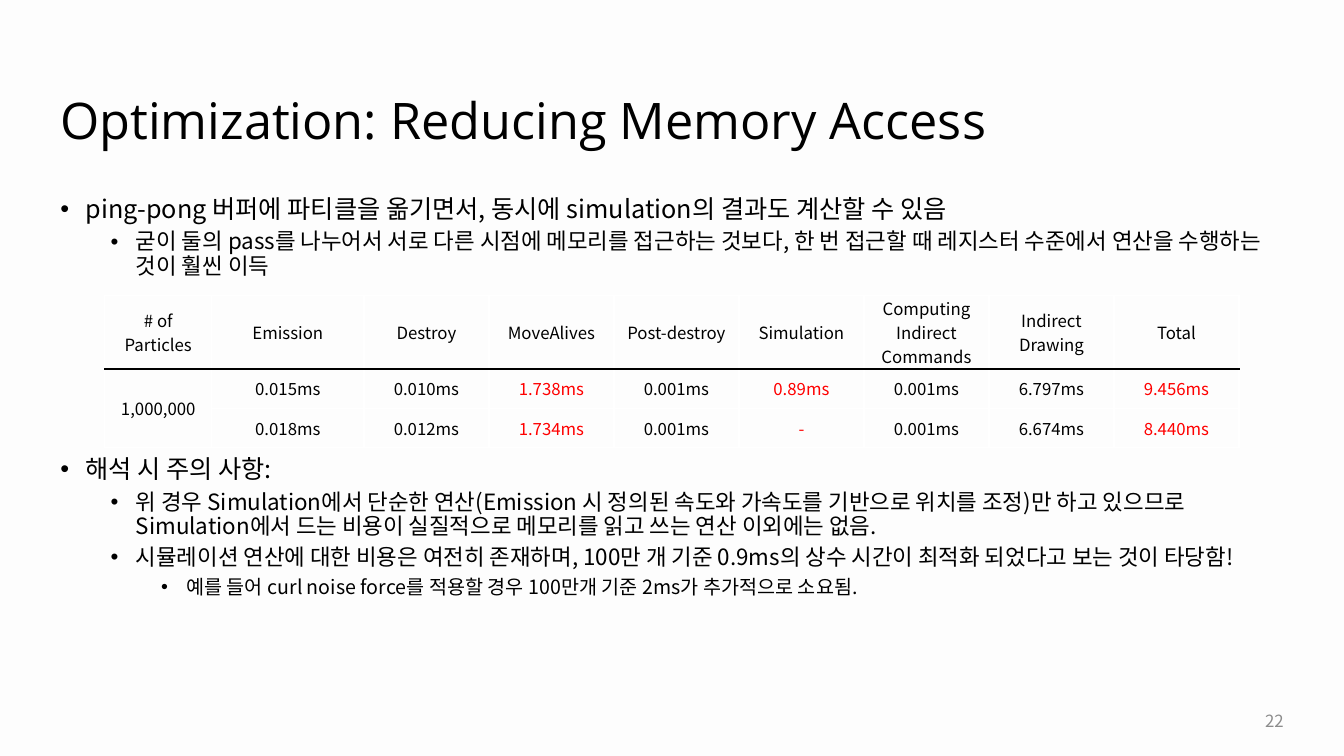
from lxml import etree
from pptx import Presentation
from pptx.dml.color import RGBColor
from pptx.enum import text
from pptx.oxml import ns
from pptx.util import Inches, Pt

BLACK = RGBColor(0x00, 0x00, 0x00)
WHITE = RGBColor(0xFF, 0xFF, 0xFF)
RED = RGBColor(0xFF, 0x00, 0x00)
GRAY = RGBColor(0x8C, 0x8C, 0x8C)
PAPER = RGBColor(0xFD, 0xFD, 0xFD)
TITLE_FONT = "Open Sans"
BODY_FONT = "Noto Sans CJK KR"

LEVEL_SIZES = (18, 16, 14)
LEVEL_SPACING = (10, 5, 5)

INTRO = [
    (0, "ping-pong 버퍼에 파티클을 옮기면서, 동시에 simulation의 결과도 계산할 수 있음"),
    (1, "굳이 둘의 pass를 나누어서 서로 다른 시점에 메모리를 접근하는 것보다, "
        "한 번 접근할 때 레지스터 수준에서 연산을 수행하는 것이 훨씬 이득"),
]
CAUTIONS = [
    (0, "해석 시 주의 사항:"),
    (1, "위 경우 Simulation에서 단순한 연산(Emission 시 정의된 속도와 가속도를 기반으로 위치를 조정)만 "
        "하고 있으므로 Simulation에서 드는 비용이 실질적으로 메모리를 읽고 쓰는 연산 이외에는 없음."),
    (1, "시뮬레이션 연산에 대한 비용은 여전히 존재하며, 100만 개 기준 0.9ms의 상수 시간이 "
        "최적화 되었다고 보는 것이 타당함!"),
    (2, "예를 들어 curl noise force를 적용할 경우 100만개 기준 2ms가 추가적으로 소요됨."),
]
TIMINGS = [
    ["# of Particles", "Emission", "Destroy", "MoveAlives", "Post-destroy", "Simulation",
     "Computing Indirect Commands", "Indirect Drawing", "Total"],
    ["1,000,000", "0.015ms", "0.010ms", "1.738ms", "0.001ms", "0.89ms",
     "0.001ms", "6.797ms", "9.456ms"],
    ["", "0.018ms", "0.012ms", "1.734ms", "0.001ms", "-",
     "0.001ms", "6.674ms", "8.440ms"],
]
COLUMN_WIDTHS = [1.06, 1.51] + [1.24] * 7
ROW_HEIGHTS = [0.73, 0.39, 0.39]
HIGHLIGHTED = {"MoveAlives", "Simulation", "Total"}


def add_run(para, words, size, color=BLACK, font=BODY_FONT):
    span = para.add_run()
    span.text = words
    span.font.size = Pt(size)
    span.font.color.rgb = color
    span.font.name = font
    etree.SubElement(span.font._element, ns.qn("a:ea"), typeface=font)


def add_box(page, left, top, width, height, anchor=text.MSO_ANCHOR.TOP):
    frame = page.shapes.add_textbox(
        Inches(left), Inches(top), Inches(width), Inches(height)).text_frame
    frame.word_wrap = True
    frame.vertical_anchor = anchor
    return frame


def set_bullet(para, level):
    props = para._p.get_or_add_pPr()
    props.set("marL", str(Inches(0.25 + 0.5 * level)))
    props.set("indent", str(Inches(-0.25)))
    etree.SubElement(props, ns.qn("a:buFont"), typeface="Arial")
    etree.SubElement(props, ns.qn("a:buChar"), char="•")


def add_bullets(page, top, height, items):
    frame = add_box(page, 0.5, top, 12.33, height)
    for index, (level, words) in enumerate(items):
        para = frame.add_paragraph() if index else frame.paragraphs[0]
        para.level = level
        set_bullet(para, level)
        para.line_spacing = 0.9
        if index:
            para.space_before = Pt(LEVEL_SPACING[level])
        add_run(para, words, LEVEL_SIZES[level])


def set_border(cell, side, color):
    line = etree.SubElement(cell._tc.get_or_add_tcPr(), ns.qn(f"a:ln{side}"), w=str(Pt(1)))
    fill = etree.SubElement(line, ns.qn("a:solidFill"))
    etree.SubElement(fill, ns.qn("a:srgbClr"), val=str(color))


def style_cell(cell, row):
    """Draw white borders with one black rule under the header row."""
    set_border(cell, "L", WHITE)
    set_border(cell, "R", WHITE)
    set_border(cell, "T", BLACK if row == 1 else WHITE)
    set_border(cell, "B", BLACK if row == 0 else WHITE)
    cell.fill.background()
    cell.vertical_anchor = text.MSO_ANCHOR.MIDDLE
    cell.margin_left = cell.margin_right = Inches(0.11)
    cell.margin_top = cell.margin_bottom = 0


def add_timings(page):
    table = page.shapes.add_table(
        len(TIMINGS), len(COLUMN_WIDTHS), Inches(1.04), Inches(2.93),
        Inches(sum(COLUMN_WIDTHS)), Inches(sum(ROW_HEIGHTS))).table
    table.first_row = table.horz_banding = False
    for column, width in zip(table.columns, COLUMN_WIDTHS):
        column.width = Inches(width)
    for table_row, height in zip(table.rows, ROW_HEIGHTS):
        table_row.height = Inches(height)
    for row, values in enumerate(TIMINGS):
        for column, value in enumerate(values):
            cell = table.cell(row, column)
            style_cell(cell, row)
            para = cell.text_frame.paragraphs[0]
            para.alignment = text.PP_ALIGN.CENTER
            if value:
                marked = row > 0 and TIMINGS[0][column] in HIGHLIGHTED
                add_run(para, value, 12, RED if marked else BLACK)
    table.cell(1, 0).merge(table.cell(2, 0))


def main():
    deck = Presentation()
    deck.slide_width, deck.slide_height = Inches(13.33), Inches(7.5)
    page = deck.slides.add_slide(deck.slide_layouts[6])
    page.background.fill.solid()
    page.background.fill.fore_color.rgb = PAPER

    title = add_box(page, 0.5, 0.55, 12.33, 1.35, text.MSO_ANCHOR.MIDDLE).paragraphs[0]
    title.line_spacing = 0.9
    add_run(title, "Optimization: Reducing Memory Access", 36, font=TITLE_FONT)

    add_bullets(page, 1.9, 1, INTRO)
    add_timings(page)
    add_bullets(page, 4.48, 2.02, CAUTIONS)

    number = add_box(page, 9.83, 6.95, 3, 0.4, text.MSO_ANCHOR.MIDDLE).paragraphs[0]
    number.alignment = text.PP_ALIGN.RIGHT
    add_run(number, "22", 12, GRAY)
    deck.save("out.pptx")


if __name__ == "__main__":
    main()
